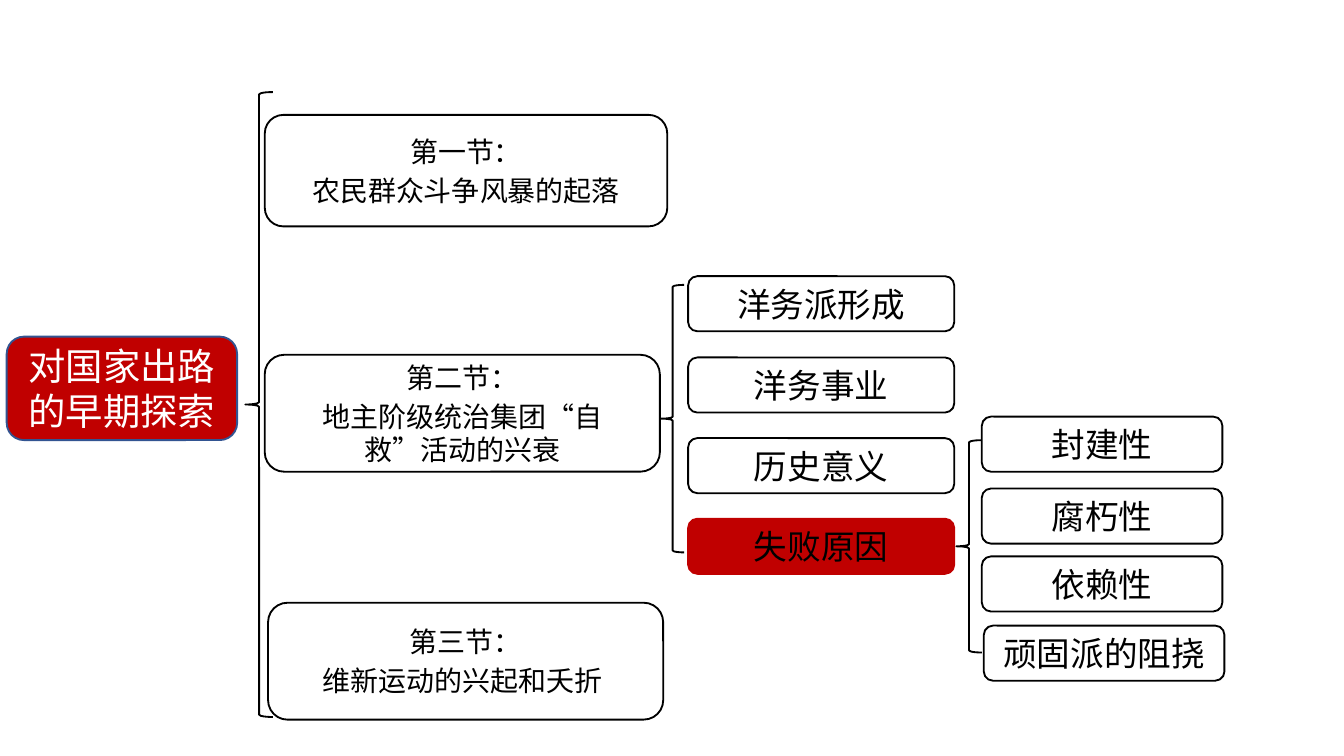
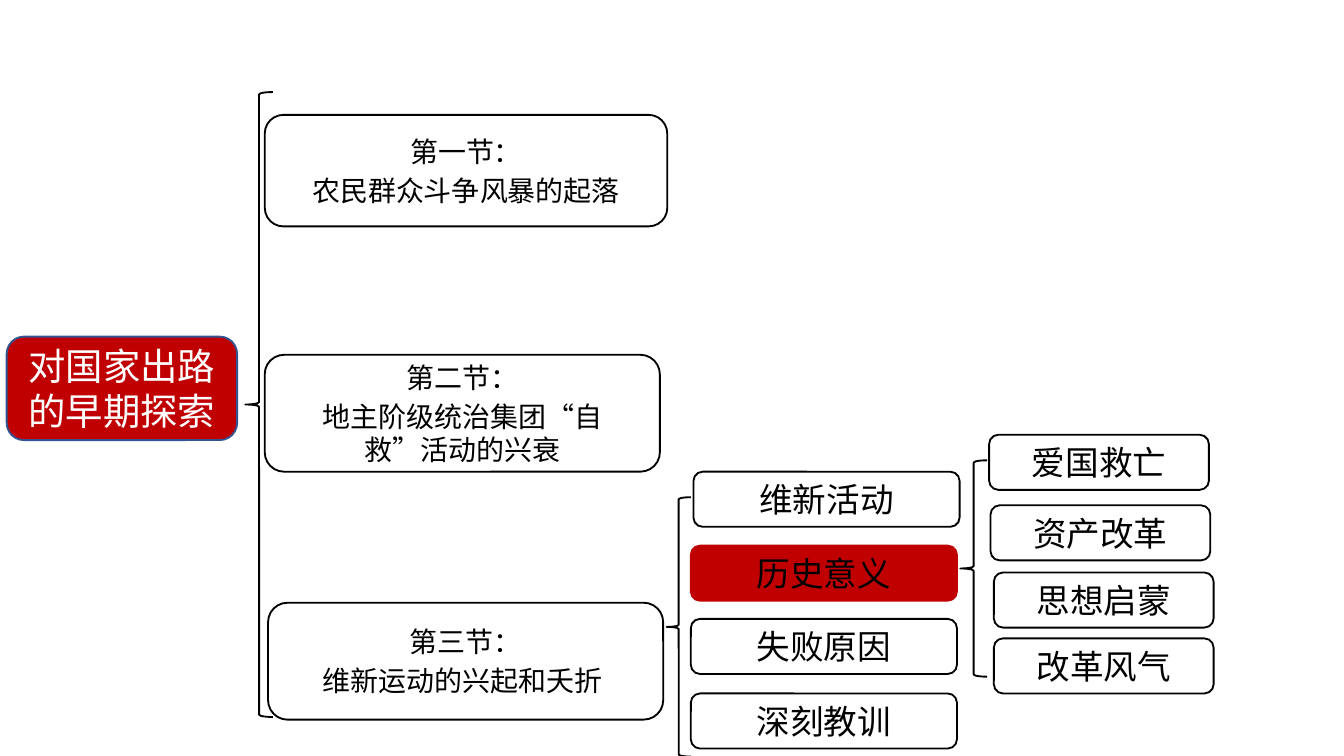
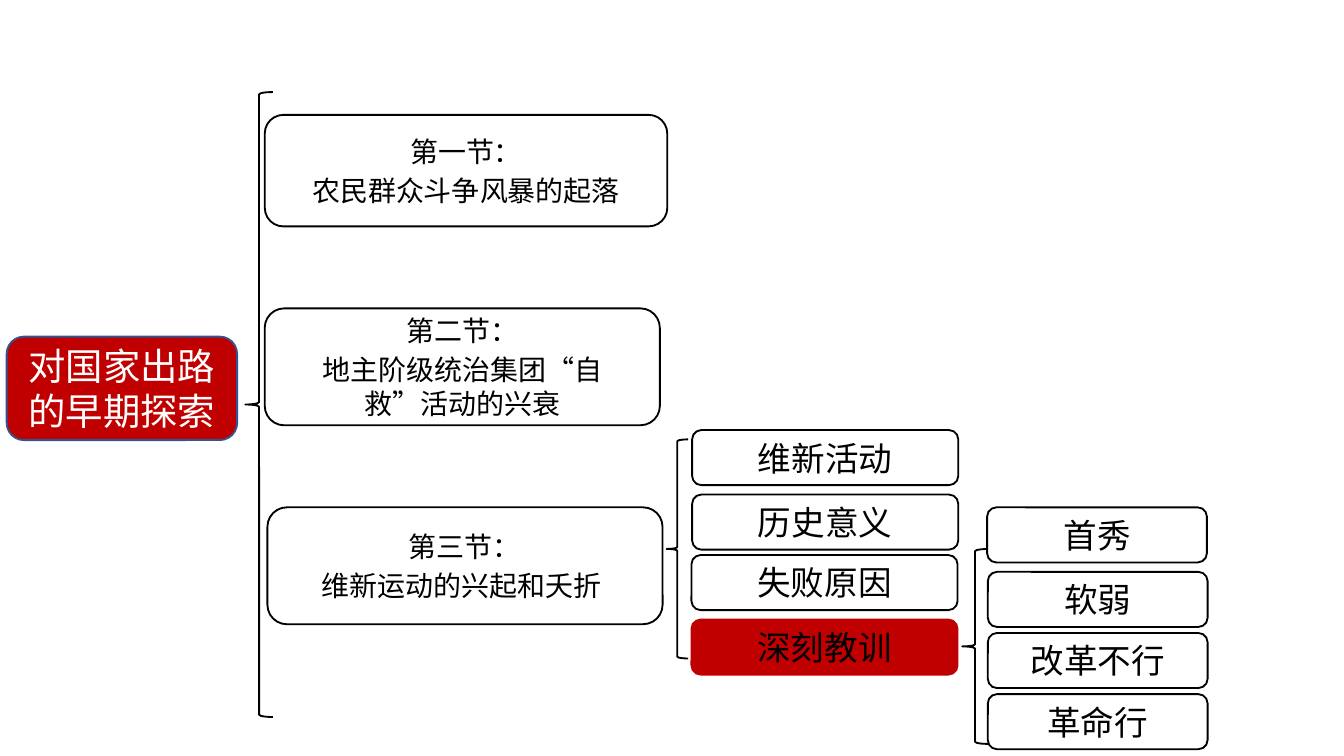
"""Build three mind-map slides on the early search for a national way out."""
from dataclasses import dataclass
from typing import NamedTuple, Optional

from pptx import Presentation
from pptx import util as u
from pptx.dml.color import RGBColor
from pptx.enum import shapes, text
from pptx.oxml.ns import qn

PX = 4572
FONT = "Noto Sans CJK SC"
RED = RGBColor(0xC0, 0x00, 0x00)
BLUE = RGBColor(0x32, 0x54, 0x91)
BLACK = RGBColor(0x00, 0x00, 0x00)
WHITE = RGBColor(0xFF, 0xFF, 0xFF)

SLIDE_WIDTH = 2000
SLIDE_HEIGHT = 1125
TOPIC_HEIGHT = 82
TOPIC_WIDTH = 396
SECTION_INSET = 44


class Box(NamedTuple):
    left: int
    top: int
    width: int
    height: int


class Topic(NamedTuple):
    label: str
    left: int
    top: int


@dataclass(frozen=True)
class Section:
    heading: str
    subject: str
    box: Box
    fill: Optional[RGBColor] = None


@dataclass(frozen=True)
class MindMap:
    second: Section
    third: Section
    topics: list[Topic]
    highlighted: str
    topic_brace: Box
    details: list[Topic]
    detail_width: int
    detail_brace: Box


ROOT = Box(10, 501, 343, 154)
ROOT_BRACE = Box(365, 137, 41, 930)
FIRST = Section("第一节：", "农民群众斗争风暴的起落", Box(394, 171, 599, 166), WHITE)


def second_section(top: int) -> Section:
    return Section("第二节：", "地主阶级统治集团“自救”活动的兴衰", Box(394, top, 588, 174))


def third_section(left: int, top: int, fill: Optional[RGBColor] = None) -> Section:
    return Section("第三节：", "维新运动的兴起和夭折 ", Box(left, top, 588, 174), fill)


MAPS = [
    MindMap(
        second_section(528), third_section(399, 897, WHITE),
        [Topic("洋务派形成", 1024, 411), Topic("洋务事业", 1024, 532),
         Topic("历史意义", 1024, 652), Topic("失败原因", 1024, 772)],
        "失败原因", Box(984, 424, 34, 398),
        [Topic("封建性", 1461, 620), Topic("腐朽性", 1461, 727),
         Topic("依赖性", 1461, 828), Topic("顽固派的阻挠", 1464, 931)],
        358, Box(1423, 655, 38, 316),
    ),
    MindMap(
        second_section(528), third_section(399, 897),
        [Topic("维新活动", 1032, 702), Topic("历史意义", 1028, 812),
         Topic("失败原因", 1028, 921), Topic("深刻教训", 1028, 1032)],
        "历史意义", Box(992, 740, 36, 386),
        [Topic("爱国救亡", 1472, 647), Topic("资产改革", 1474, 752),
         Topic("思想启蒙", 1479, 852), Topic("改革风气", 1479, 950)],
        327, Box(1429, 685, 40, 322),
    ),
    MindMap(
        second_section(459), third_section(398, 755),
        [Topic("维新活动", 1030, 640), Topic("历史意义", 1030, 736),
         Topic("失败原因", 1029, 826), Topic("深刻教训", 1029, 922)],
        "深刻教训", Box(992, 654, 32, 326),
        [Topic("首秀", 1469, 755), Topic("软弱", 1470, 851),
         Topic("改革不行", 1470, 942), Topic("革命行", 1470, 1033)],
        327, Box(1432, 817, 38, 290),
    ),
]


def add_outline(slide, preset, box: Box, *, fill: Optional[RGBColor] = None,
                line: RGBColor = BLACK):
    outline = slide.shapes.add_shape(preset, *(length * PX for length in box))
    outline.shadow.inherit = False
    if fill is None:
        outline.fill.background()
    else:
        outline.fill.solid()
        outline.fill.fore_color.rgb = fill
    outline.line.color.rgb = line
    outline.line.width = u.Pt(1)
    return outline


def write(frame, *lines: str, size: int = 18, color: RGBColor = BLACK,
          inset: int = 20) -> None:
    frame.word_wrap = True
    frame.vertical_anchor = text.MSO_ANCHOR.MIDDLE
    frame.margin_left = frame.margin_right = inset * PX
    for index, content in enumerate(lines):
        paragraph = frame.add_paragraph() if index else frame.paragraphs[0]
        paragraph.alignment = text.PP_ALIGN.CENTER
        if index:
            paragraph.space_before = u.Pt(3)
        run = paragraph.add_run()
        run.text = content
        run.font.size = u.Pt(size)
        run.font.name = FONT
        run.font.color.rgb = color
        east_asian = run.font._element.makeelement(qn("a:ea"), {"typeface": FONT})
        run.font._element.append(east_asian)


def add_node(slide, box: Box, *lines: str, fill: Optional[RGBColor] = None,
             line: RGBColor = BLACK, **text_format) -> None:
    node = add_outline(slide, shapes.MSO_SHAPE.ROUNDED_RECTANGLE, box, fill=fill, line=line)
    write(node.text_frame, *lines, **text_format)


def add_brace(slide, box: Box) -> None:
    add_outline(slide, shapes.MSO_SHAPE.LEFT_BRACE, box)


def add_topics(slide, topics: list[Topic], width: int, highlighted: str = "") -> None:
    for topic in topics:
        chosen = topic.label == highlighted
        add_node(slide, Box(topic.left, topic.top, width, TOPIC_HEIGHT), topic.label,
                 fill=RED if chosen else None, line=RED if chosen else BLACK)


def draw_map(slide, mind_map: MindMap) -> None:
    add_node(slide, ROOT, "对国家出路的早期探索", fill=RED, line=BLUE, size=20, color=WHITE)
    add_brace(slide, ROOT_BRACE)
    for section in (FIRST, mind_map.second, mind_map.third):
        add_node(slide, section.box, section.heading, section.subject, fill=section.fill,
                 size=15, inset=SECTION_INSET)
    add_topics(slide, mind_map.topics, TOPIC_WIDTH, mind_map.highlighted)
    add_brace(slide, mind_map.topic_brace)
    add_brace(slide, mind_map.detail_brace)
    add_topics(slide, mind_map.details, mind_map.detail_width)


def main() -> None:
    deck = Presentation()
    deck.slide_width = SLIDE_WIDTH * PX
    deck.slide_height = SLIDE_HEIGHT * PX
    blank = deck.slide_layouts[6]
    for mind_map in MAPS:
        draw_map(deck.slides.add_slide(blank), mind_map)
    deck.save("out.pptx")


if __name__ == "__main__":
    main()
